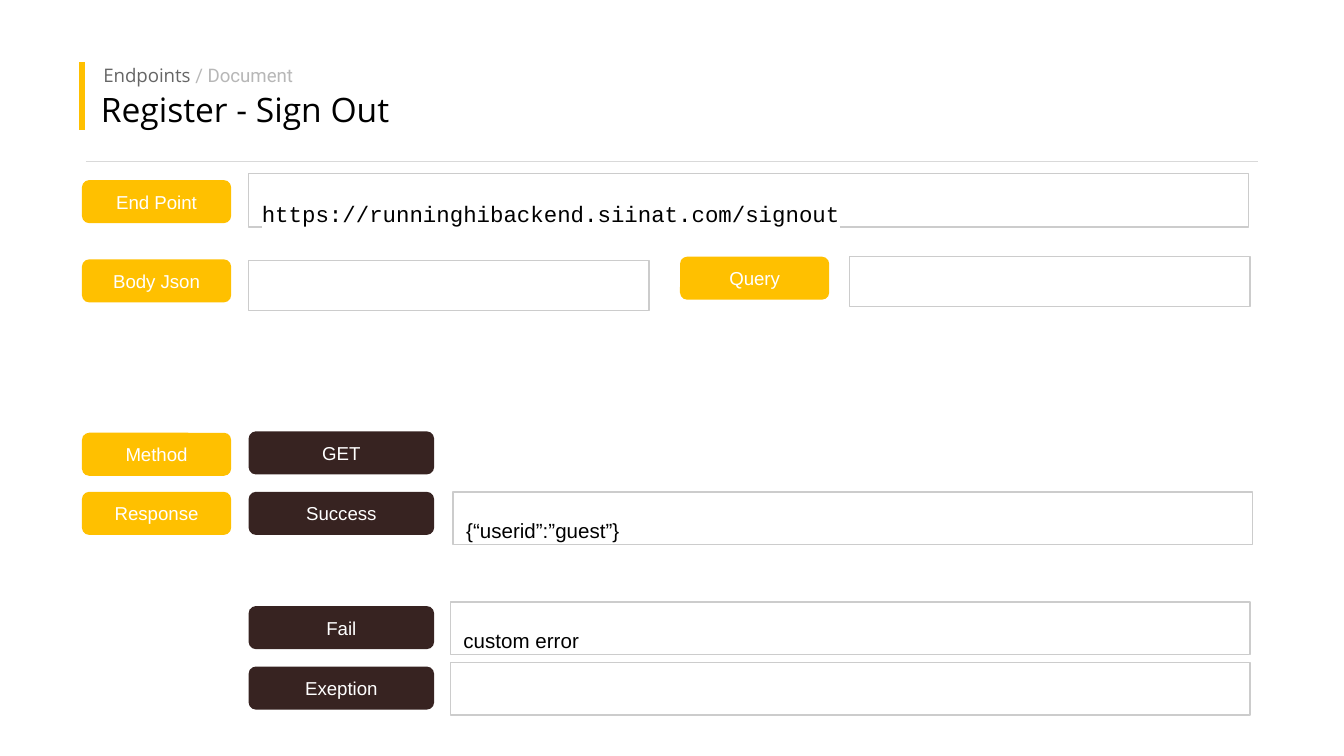
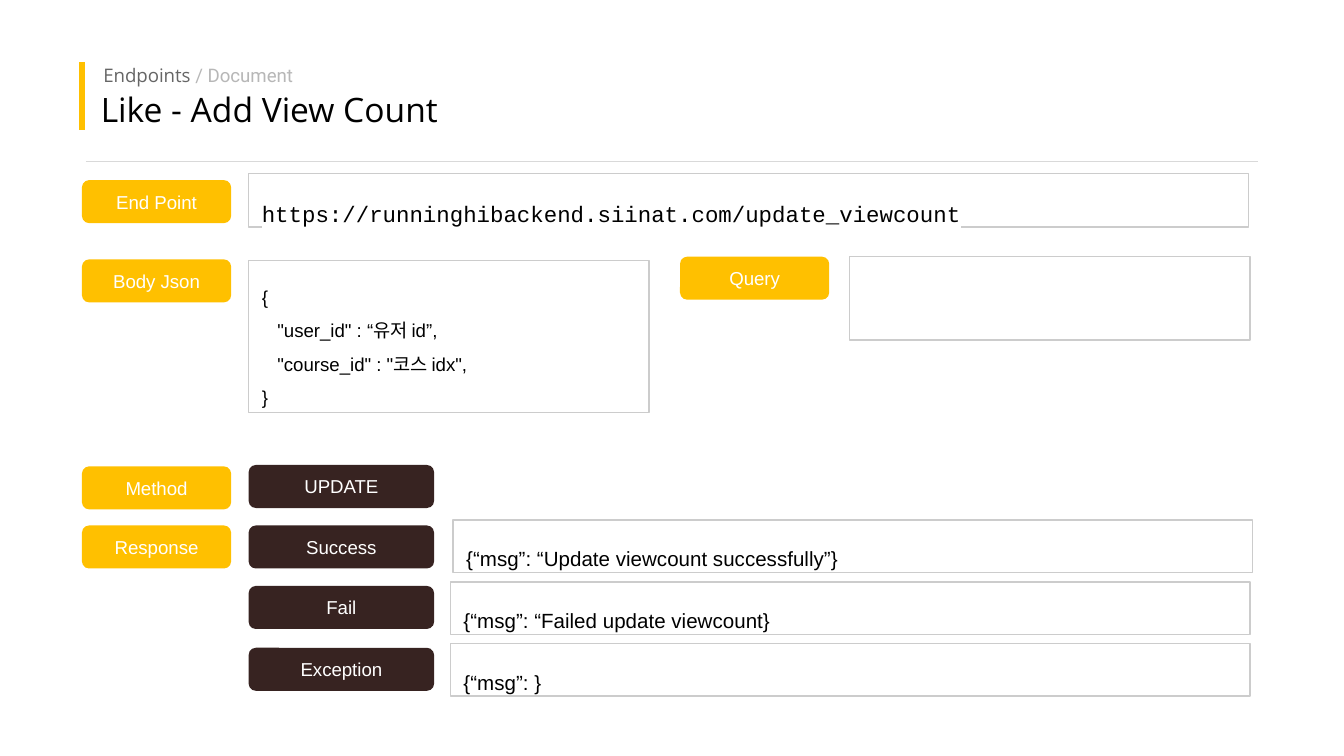
from collections import namedtuple
from dataclasses import dataclass

from lxml.etree import SubElement
from pptx import Presentation
from pptx.dml.color import RGBColor
from pptx.enum.shapes import MSO_CONNECTOR, MSO_SHAPE
from pptx.enum.text import MSO_ANCHOR, MSO_AUTO_SIZE, PP_ALIGN
from pptx.oxml.ns import qn
from pptx.util import Emu, Pt

EMU_PER_PX = 9144
LABEL_WIDTH, STATE_WIDTH, LABEL_HEIGHT = 111, 138, 32
FIELD_LEFT = 124

State = namedtuple("State", "label label_top field_left field_top text")


@dataclass(frozen=True)
class Theme:
    """Colours, fonts and type sizes of the deck."""
    accent: str = "FFC000"
    dark: str = "372321"
    white: str = "FFFFFF"
    black: str = "000000"
    rule: str = "D9D9D9"
    border: str = "CCCCCC"
    crumb: str = "666666"
    crumb_light: str = "B7B7B7"
    heading_font: str = "Open Sans"
    crumb_font: str = "Roboto"
    body_font: str = "Arial"
    code_font: str = "Courier New"
    title_size: int = 18
    url_size: int = 12
    field_size: int = 11
    small_size: int = 10


THEME = Theme()


class Box(namedtuple("Box", "left top width height")):
    """A rectangle in px."""

    def inside(self, left, top, width, height):
        """Return a box placed relative to this one."""
        return Box(self.left + left, self.top + top, width, height)

    def emu(self):
        """Return the four lengths in EMU."""
        return [px(length) for length in self]


def px(length):
    """Turn px into EMU."""
    return Emu(length * EMU_PER_PX)


def color(code):
    """Turn a hex code into a colour."""
    return RGBColor.from_string(code)


def style_span(span, size, font, code):
    """Format one run."""
    span.font.size = Pt(size)
    span.font.name = font
    span.font.color.rgb = color(code)


def frame_text(frame, anchor):
    """Set the wrapping, margins and anchor of a text frame."""
    frame.word_wrap = True
    frame.vertical_anchor = anchor
    frame.margin_left = frame.margin_right = px(10)
    frame.margin_top = frame.margin_bottom = px(10)


def add_rule(page, start, end, code, width):
    """Draw a straight line between two points."""
    rule = page.shapes.add_connector(
        MSO_CONNECTOR.STRAIGHT, *[px(length) for length in (*start, *end)])
    rule.line.color.rgb = color(code)
    rule.line.width = Pt(width)
    SubElement(rule._element.spPr, qn("a:effectLst"))


def add_label(page, box, text, fill):
    """Draw a filled rounded label with centred text."""
    label = page.shapes.add_shape(MSO_SHAPE.ROUNDED_RECTANGLE, *box.emu())
    label.shadow.inherit = False
    label.fill.solid()
    label.fill.fore_color.rgb = color(fill)
    label.line.fill.background()
    frame_text(label.text_frame, MSO_ANCHOR.MIDDLE)
    label.text_frame.text = text
    para = label.text_frame.paragraphs[0]
    para.alignment = PP_ALIGN.CENTER
    style_span(para.runs[0], THEME.small_size, THEME.body_font, THEME.white)


def add_field(page, box, text, size=THEME.field_size, font=THEME.body_font):
    """Draw an outlined field and return its text frame."""
    field = page.shapes.add_shape(MSO_SHAPE.RECTANGLE, *box.emu())
    field.shadow.inherit = False
    field.fill.background()
    field.line.color.rgb = color(THEME.border)
    field.line.width = Pt(0.75)
    frame = field.text_frame
    if text:
        frame_text(frame, MSO_ANCHOR.TOP)
        frame.auto_size = MSO_AUTO_SIZE.SHAPE_TO_FIT_TEXT
        frame.text = text
        for para in frame.paragraphs:
            para.alignment = PP_ALIGN.LEFT
            para.line_spacing = 1.5
            for span in para.runs:
                style_span(span, size, font, THEME.black)
    return frame


def highlight(span, code):
    """Put a background colour behind a run."""
    mark = span._r.makeelement(qn("a:highlight"))
    SubElement(mark, qn("a:srgbClr"), val=code)
    span._r.rPr.find(qn("a:solidFill")).addnext(mark)


def add_header(page, box, title):
    """Place the title, the breadcrumb and the two rules."""
    add_rule(page, (box.left, box.top + 3), (box.left, box.top + 54), THEME.accent, 3)
    add_rule(page, (box.left + 3, box.top + 77),
             (box.left + box.width, box.top + 77), THEME.rule, 0.75)

    heading = page.shapes.title
    heading.left, heading.top, heading.width, heading.height = box.inside(4, 13, 910, 50).emu()
    frame_text(heading.text_frame, MSO_ANCHOR.MIDDLE)
    heading.text_frame.auto_size = MSO_AUTO_SIZE.NONE
    heading.text_frame.text = title
    para = heading.text_frame.paragraphs[0]
    para.alignment = PP_ALIGN.LEFT
    style_span(para.runs[0], THEME.title_size, THEME.heading_font, THEME.black)

    crumb = page.shapes.add_textbox(*box.inside(6, 0, 449, 23).emu())
    frame_text(crumb.text_frame, MSO_ANCHOR.MIDDLE)
    para = crumb.text_frame.paragraphs[0]
    para.line_spacing = 1.15
    para.space_after = Pt(12)
    for text, font, code in (("Endpoints ", THEME.heading_font, THEME.crumb),
                             ("/ Document", THEME.crumb_font, THEME.crumb_light)):
        span = para.add_run()
        span.text = text
        style_span(span, THEME.small_size, font, code)


def add_request(page, box, url, body, body_height, query_height):
    """Place the end point, body and query with their labels."""
    for text, left, top in (("End Point", 0, 5), ("Body Json", 0, 64), ("Query", 445, 62)):
        add_label(page, box.inside(left, top, LABEL_WIDTH, LABEL_HEIGHT), text, THEME.accent)
    frame = add_field(page, box.inside(FIELD_LEFT, 0, 744, 40), url,
                      THEME.url_size, THEME.code_font)
    highlight(frame.paragraphs[0].runs[0], THEME.white)
    add_field(page, box.inside(FIELD_LEFT, 65, 298, body_height), body, THEME.small_size)
    add_field(page, box.inside(571, 62, 298, query_height), "")


def add_response(page, box, method, states):
    """Place the method and one row for each response state."""
    for text, top in (("Method", 1), ("Response", 45)):
        add_label(page, box.inside(0, top, LABEL_WIDTH, LABEL_HEIGHT), text, THEME.accent)
    add_label(page, box.inside(FIELD_LEFT, 0, STATE_WIDTH, LABEL_HEIGHT), method, THEME.dark)
    for state in states:
        add_label(page, box.inside(FIELD_LEFT, state.label_top, STATE_WIDTH, LABEL_HEIGHT),
                  state.label, THEME.dark)
        add_field(page, box.inside(state.field_left, state.field_top, 595, 39), state.text)


def add_endpoint_page(deck, title, request, response_top, method, states):
    """Add one page that documents an endpoint."""
    page = deck.slides.add_slide(deck.slide_layouts[5])
    add_header(page, Box(61, 43, 875, 77), title)
    add_request(page, Box(61, 129, 869, 178), *request)
    add_response(page, Box(61, response_top, 871, 211), method, states)


def main():
    """Build and save the deck."""
    deck = Presentation()
    deck.slide_width = px(1000)
    deck.slide_height = Emu(deck.slide_width * 9 // 16)
    add_endpoint_page(
        deck, "Register - Sign Out",
        ("https://runninghibackend.siinat.com/signout", "", 37, 37),
        321, "GET",
        [State("Success", 45, 276, 45, "{“userid”:”guest”}"),
         State("Fail", 130, 274, 127, "custom error"),
         State("Exeption", 175, 274, 172, "")])
    body = '{\n   "user_id" : “유저 id”,\n   "course_id" : "코스 idx",\n}'
    add_endpoint_page(
        deck, "Like - Add View Count",
        ("https://runninghibackend.siinat.com/update_viewcount", body, 113, 62),
        346, "UPDATE",
        [State("Success", 45, 276, 41, "{“msg”: “Update viewcount successfully”}"),
         State("Fail", 90, 274, 87, "{“msg”: “Failed update viewcount}"),
         State("Exception", 136, 274, 133, "{“msg”: }")])
    deck.save("out.pptx")


if __name__ == "__main__":
    main()
